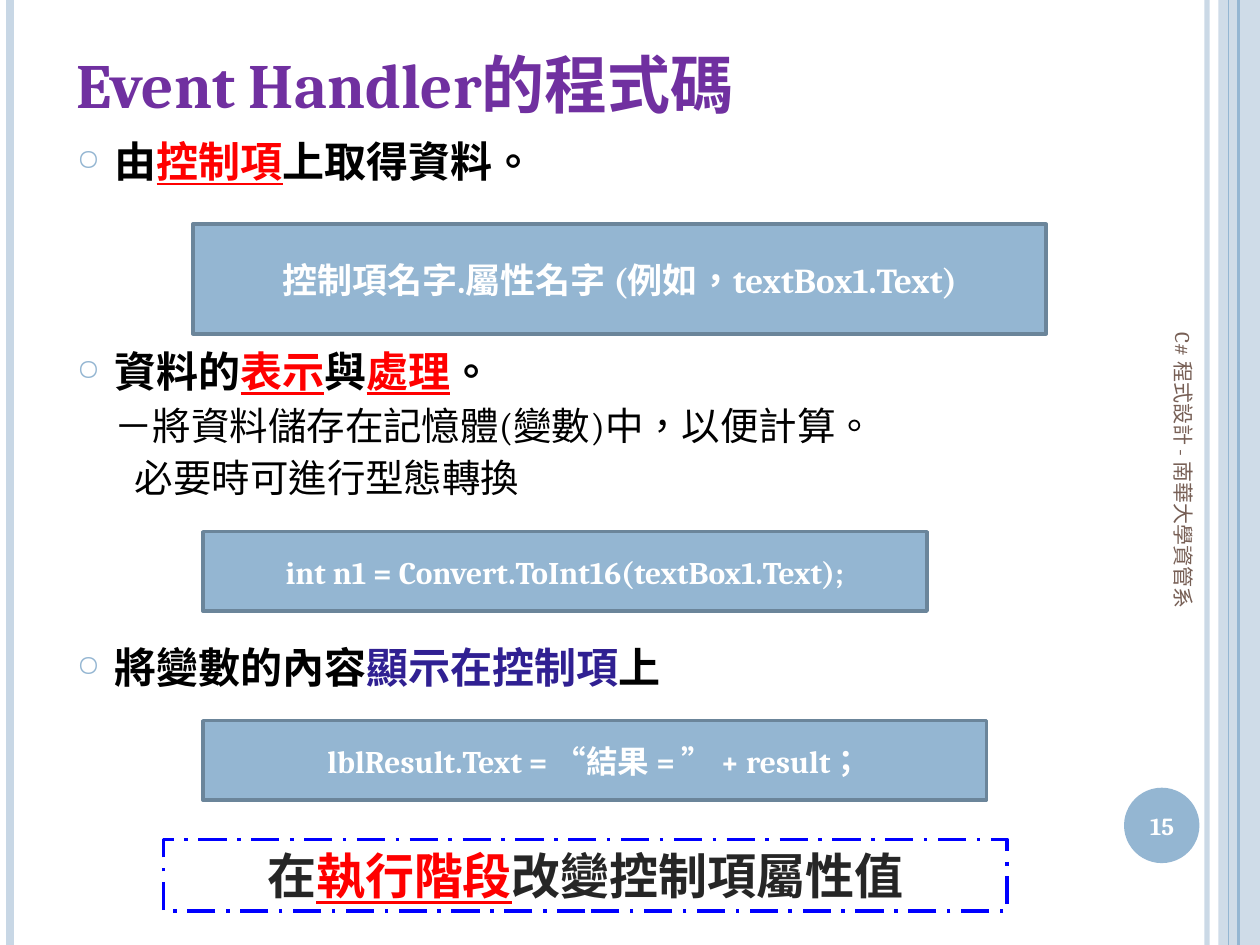
import pptx
import pptx.util
import pptx.dml.color
import pptx.enum.dml
import pptx.enum.shapes
import pptx.enum.text
import lxml.etree

Cm = pptx.util.Cm
Pt = pptx.util.Pt
Shape = pptx.enum.shapes.MSO_SHAPE
Align = pptx.enum.text.PP_ALIGN
Anchor = pptx.enum.text.MSO_ANCHOR
NS = "{http://schemas.openxmlformats.org/drawingml/2006/main}"
HUES = {
    "blue": "94B6D2", "pale": "C8D7E5", "edge": "6B859A", "white": "FFFFFF",
    "brown": "775F55", "plum": "7030A0", "black": "000000", "red": "FF0000",
    "navy": "302092", "dash": "0000FF", "dark": "262626",
}


def paint(form, hue, alpha=100):
    form.solid()
    form.fore_color.rgb = pptx.dml.color.RGBColor.from_string(HUES[hue])
    if alpha < 100:
        tint = next(form._xPr.iter(NS + "srgbClr"))
        lxml.etree.SubElement(tint, NS + "alpha", val=str(alpha * 1000))


def write(para, runs, size, bold=True, face="Cambria"):
    for text, hue in runs:
        run = para.add_run()
        run.text = text
        run.font.size = Pt(size)
        run.font.bold = bold
        run.font.name = face
        run.font.underline = hue == "red"
        paint(run.font.fill, hue)
        run._r.get_or_add_rPr().set("lang", "zh-TW")


deck = pptx.Presentation()
deck.slide_width = Cm(25.4)
deck.slide_height = Cm(19.05)
slide = deck.slides.add_slide(deck.slide_layouts[6])
shapes = slide.shapes

band = shapes.add_shape(Shape.RECTANGLE, Cm(24.56), 0, Cm(0.84), deck.slide_height)
band.shadow.inherit = False
paint(band.fill, "pale", 87)
band.line.fill.background()

for x, hue, width, alpha in [
    (24.33, "pale", 3, 93), (0.2, "pale", 4.5, 100),
    (24.97, "blue", 1.5, 100), (24.77, "blue", 0.75, 100),
]:
    rule = shapes.add_connector(
        pptx.enum.shapes.MSO_CONNECTOR.STRAIGHT, Cm(x), 0, Cm(x), deck.slide_height)
    rule.line.width = Pt(width)
    paint(rule.line.fill, hue, alpha)
    lxml.etree.SubElement(rule._element.spPr, NS + "effectLst")

disc = shapes.add_shape(Shape.OVAL, Cm(22.66), Cm(15.88), Cm(1.52), Cm(1.52))
disc.shadow.inherit = False
paint(disc.fill, "blue")
disc.line.fill.background()

for place, turn, anchor, align, text, hue, size, bold in [
    ((22.58, 15.93, 1.7, 1.45), 0, Anchor.MIDDLE, Align.CENTER, "15", "white", 14, True),
    ((19.41, 10.39, 8.89, 1.02), 90, Anchor.MIDDLE, Align.LEFT,
     "C# 程式設計 - 南華大學資管系", "brown", 12, False),
    ((1.3, 0.53, 20.75, 2.03), 0, Anchor.BOTTOM, Align.LEFT,
     "Event Handler的程式碼", "plum", 36, True),
]:
    label = shapes.add_textbox(*map(Cm, place))
    label.rotation = turn
    frame = label.text_frame
    frame.word_wrap = True
    frame.vertical_anchor = anchor
    frame.paragraphs[0].alignment = align
    write(frame.paragraphs[0], [(text, hue)], size, bold)

body = shapes.add_textbox(Cm(1.3), Cm(2.72), Cm(20.75), Cm(14)).text_frame
body.word_wrap = True
for row, (mark, left, gap, size, runs) in enumerate([
    (True, 0.76, 0, 24,
     [("由", "black"), ("控制項", "red"), ("上取得資料。", "black")]),
    (True, 0.76, 94, 24,
     [("資料的", "black"), ("表示", "red"), ("與", "black"), ("處理", "red"), ("。", "black")]),
    (False, 0.76, 6, 22, [("－將資料儲存在記憶體(變數)中，以便計算。", "black")]),
    (False, 1.17, 6, 22, [("必要時可進行型態轉換", "black")]),
    (True, 0.76, 84, 24,
     [("將變數的內容", "black"), ("顯示在控制項", "navy"), ("上", "black")]),
]):
    para = body.add_paragraph() if row else body.paragraphs[0]
    para.line_spacing = 0.9
    para.space_before = Pt(gap)
    props = para._p.get_or_add_pPr()
    props.set("marL", str(Cm(left)))
    props.set("indent", str(-Cm(left) if mark else 0))
    if mark:
        tint = lxml.etree.SubElement(props, NS + "buClr")
        lxml.etree.SubElement(tint, NS + "srgbClr", val=HUES["blue"])
        lxml.etree.SubElement(props, NS + "buSzPct", val="70000")
        lxml.etree.SubElement(props, NS + "buChar", char="○")
    write(para, runs, size, mark)

for place, fill, edge, size, face, runs in [
    ((3.89, 4.52, 17.2, 2.21), "blue", "edge", 20, "Cambria",
     [("控制項名字.屬性名字 (例如，textBox1.Text)", "white")]),
    ((4.09, 10.72, 14.6, 1.6), "blue", "edge", 18, "Cambria",
     [("int n1 = Convert.ToInt16(textBox1.Text);", "white")]),
    ((4.09, 14.53, 15.8, 1.6), "blue", "edge", 18, "Cambria",
     [("lblResult.Text = “結果 = ” + result；", "white")]),
    ((3.3, 16.92, 17, 1.45), None, "dash", 28, "Arial",
     [("在", "dark"), ("執行階段", "red"), ("改變控制項屬性值", "dark")]),
]:
    box = shapes.add_shape(Shape.RECTANGLE, *map(Cm, place))
    box.shadow.inherit = False
    paint(box.line.fill, edge)
    box.line.width = Pt(2)
    if fill:
        paint(box.fill, fill)
    else:
        box.fill.background()
        box.line.dash_style = pptx.enum.dml.MSO_LINE.LONG_DASH_DOT
    frame = box.text_frame
    frame.word_wrap = True
    frame.vertical_anchor = Anchor.MIDDLE
    frame.paragraphs[0].alignment = Align.CENTER
    write(frame.paragraphs[0], runs, size, True, face)

deck.save("out.pptx")
